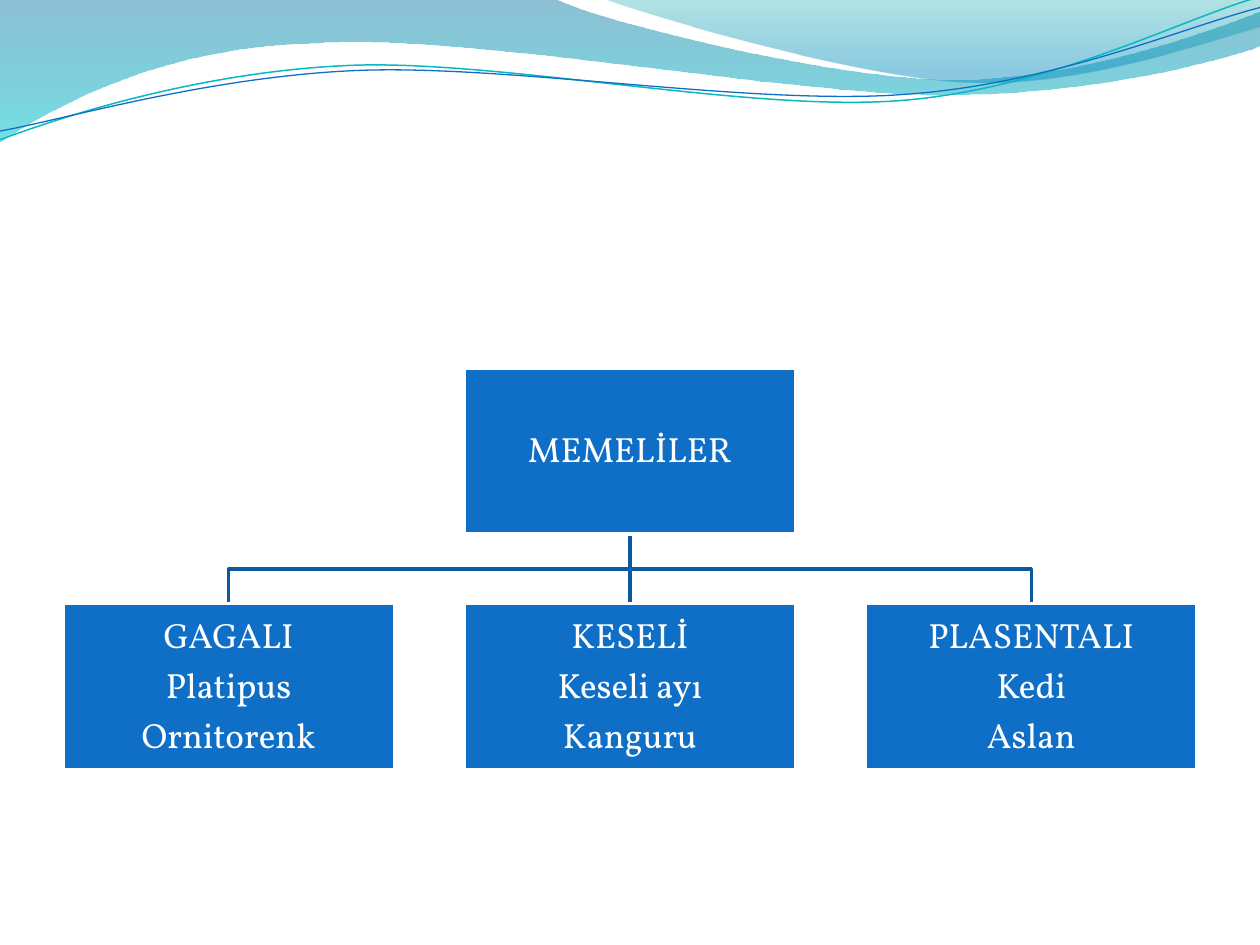
from dataclasses import dataclass

from lxml import etree
from pptx import Presentation
from pptx.dml.color import RGBColor
from pptx.enum.shapes import MSO_SHAPE
from pptx.enum.text import MSO_ANCHOR, PP_ALIGN
from pptx.oxml.ns import qn
from pptx.util import Inches, Pt

RECTANGLE = MSO_SHAPE.RECTANGLE
MIDDLE = MSO_ANCHOR.MIDDLE
CENTER = PP_ALIGN.CENTER


@dataclass(frozen=True)
class Theme:
    font: str = "Vollkorn"
    text_size: float = 20
    text: str = "FFFFFF"
    box: str = "0F6FC6"
    box_border: str = "FFFFFF"
    branch: str = "0C599F"
    teal_line: str = "0AB8BF"
    blue_line: str = "0F6FC6"
    # Gradient stops: position, colour, opacity in percent
    left_wave: tuple = ((0, "0074A1", 45), (1, "00C6CF", 55))
    right_wave: tuple = ((0, "00A1A9", 30), (0.8, "008BBF", 45))


class SlideBuilder:
    def __init__(self, slide, theme):
        self.slide = slide
        self.theme = theme

    def outline(self, start, segments, close=False):
        """A segment is a line (x, y) or a cubic curve of six numbers."""
        points = [(Inches(segment[i]), Inches(segment[i + 1]))
                  for segment in segments for i in range(0, len(segment), 2)]
        builder = self.slide.shapes.build_freeform(Inches(start[0]), Inches(start[1]))
        builder.add_line_segments(points, close=close)
        shape = builder.convert_to_shape()
        shape.shadow.inherit = False
        # Join the three points of each curve into one Bezier element
        steps = iter(list(shape._element.iter(qn("a:lnTo"))))
        for segment in segments:
            step = next(steps)
            if len(segment) == 6:
                step.addprevious(curve := etree.Element(qn("a:cubicBezTo")))
                for part in (step, next(steps), next(steps)):
                    curve.append(part[0])
                    part.getparent().remove(part)
        return shape

    def wave(self, start, segments, stops):
        shape = self.outline(start, segments, close=True)
        shape.line.fill.background()
        shape.fill.gradient()
        shape.fill.gradient_angle = 270
        for stop, (position, color, _) in zip(shape.fill.gradient_stops, stops):
            stop.position = position
            stop.color.rgb = RGBColor.from_string(color)
        colors = shape._element.spPr.iter(qn("a:srgbClr"))
        for color, (_, _, opacity) in zip(colors, stops):
            etree.SubElement(color, qn("a:alpha")).set("val", str(opacity * 1000))

    def line(self, start, segments, color, width):
        shape = self.outline(start, segments)
        shape.fill.background()
        self.stroke(shape, color, width)
        return shape

    def trunk(self, x, top, bottom):
        """Vertical branch, centred in a frame that has some width."""
        shape = self.line((x, top), [(x, bottom)], self.theme.branch, 2)
        margin = Inches(0.05)
        shape.left -= margin
        shape.width = 2 * margin
        for outline in shape._element.iter(qn("a:path")):
            outline.set("w", str(2 * margin))
            for point in outline.iter(qn("a:pt")):
                point.set("x", str(margin))

    def stroke(self, shape, color, width):
        shape.line.color.rgb = RGBColor.from_string(color)
        shape.line.width = Pt(width)

    def box(self, left, top, width, height, lines):
        shape = self.slide.shapes.add_shape(
            RECTANGLE, Inches(left), Inches(top), Inches(width), Inches(height))
        shape.shadow.inherit = False
        shape.fill.solid()
        shape.fill.fore_color.rgb = RGBColor.from_string(self.theme.box)
        self.stroke(shape, self.theme.box_border, 2)
        frame = shape.text_frame
        frame.word_wrap = True
        frame.vertical_anchor = MIDDLE
        frame.margin_left = frame.margin_right = Inches(0.01)
        frame.margin_top = frame.margin_bottom = Inches(0.01)
        for index, line in enumerate(lines):
            paragraph = frame.paragraphs[0] if index == 0 else frame.add_paragraph()
            paragraph.alignment = CENTER
            paragraph.line_spacing = 0.9
            paragraph.space_after = Pt(0.35 * self.theme.text_size)
            run = paragraph.add_run()
            run.text = line
            run.font.name = self.theme.font
            run.font.size = Pt(self.theme.text_size)
            run.font.color.rgb = RGBColor.from_string(self.theme.text)


def main():
    theme = Theme()
    presentation = Presentation()
    presentation.slide_width = Inches(10)
    presentation.slide_height = Inches(7.5)
    slide = presentation.slides.add_slide(presentation.slide_layouts[6])
    builder = SlideBuilder(slide, theme)

    # Wave band across the top
    builder.wave((0, 0), [
        (4.4, -0.01),
        (4.76, 0.17, 6.64, 0.63, 7.58, 0.63),
        (8.53, 0.63, 9.58, 0.26, 10, 0.09),
        (10.01, 0.36),
        (9.83, 0.44, 8.7, 0.76, 7.46, 0.75),
        (6.22, 0.75, 3.82, 0.28, 2.57, 0.34),
        (1.29, 0.36, 0.46, 0.83, -0.01, 1.13),
    ], theme.left_wave)
    builder.wave((4.79, -0.01), [
        (5.09, 0.11, 6.82, 0.62, 7.69, 0.65),
        (8.56, 0.69, 9.61, 0.32, 10, 0.21),
        (10, 0),
    ], theme.right_wave)
    builder.line((0, 1.11), [
        (0.48, 0.93, 1.58, 0.57, 2.77, 0.52),
        (3.95, 0.47, 5.93, 0.89, 7.13, 0.8),
        (8.33, 0.71, 9.38, 0.15, 9.98, -0.02),
    ], theme.teal_line, 0.85)
    builder.line((0, 1.04), [
        (0.47, 0.96, 1.64, 0.61, 2.83, 0.56),
        (4.03, 0.51, 5.97, 0.84, 7.17, 0.75),
        (8.36, 0.67, 9.41, 0.21, 10, 0.06),
    ], theme.blue_line, 0.75)

    # Chart grid: three equal columns between the side margins
    box_width, box_height, side_margin = 2.63, 1.32, 0.5
    root_top, group_top = 2.92, 4.79
    middle = 5
    pitch = middle - side_margin - box_width / 2
    root_bottom = root_top + box_height
    bend = (root_bottom + group_top) / 2
    left_center, right_center = middle - pitch, middle + pitch

    # Branches from the root to the groups
    def bent_branch(center):
        builder.line((middle, root_bottom),
                     [(middle, bend), (center, bend), (center, group_top)],
                     theme.branch, 2)

    bent_branch(right_center)
    builder.trunk(middle, root_bottom, group_top)
    bent_branch(left_center)

    # Root class and its groups with examples
    boxes = [
        (middle, root_top, ["MEMELİLER"]),
        (left_center, group_top, ["GAGALI", "Platipus", "Ornitorenk"]),
        (middle, group_top, ["KESELİ", "Keseli ayı", "Kanguru"]),
        (right_center, group_top, ["PLASENTALI", "Kedi", "Aslan"]),
    ]
    for center, top, lines in boxes:
        builder.box(center - box_width / 2, top, box_width, box_height, lines)

    presentation.save("out.pptx")


if __name__ == "__main__":
    main()
